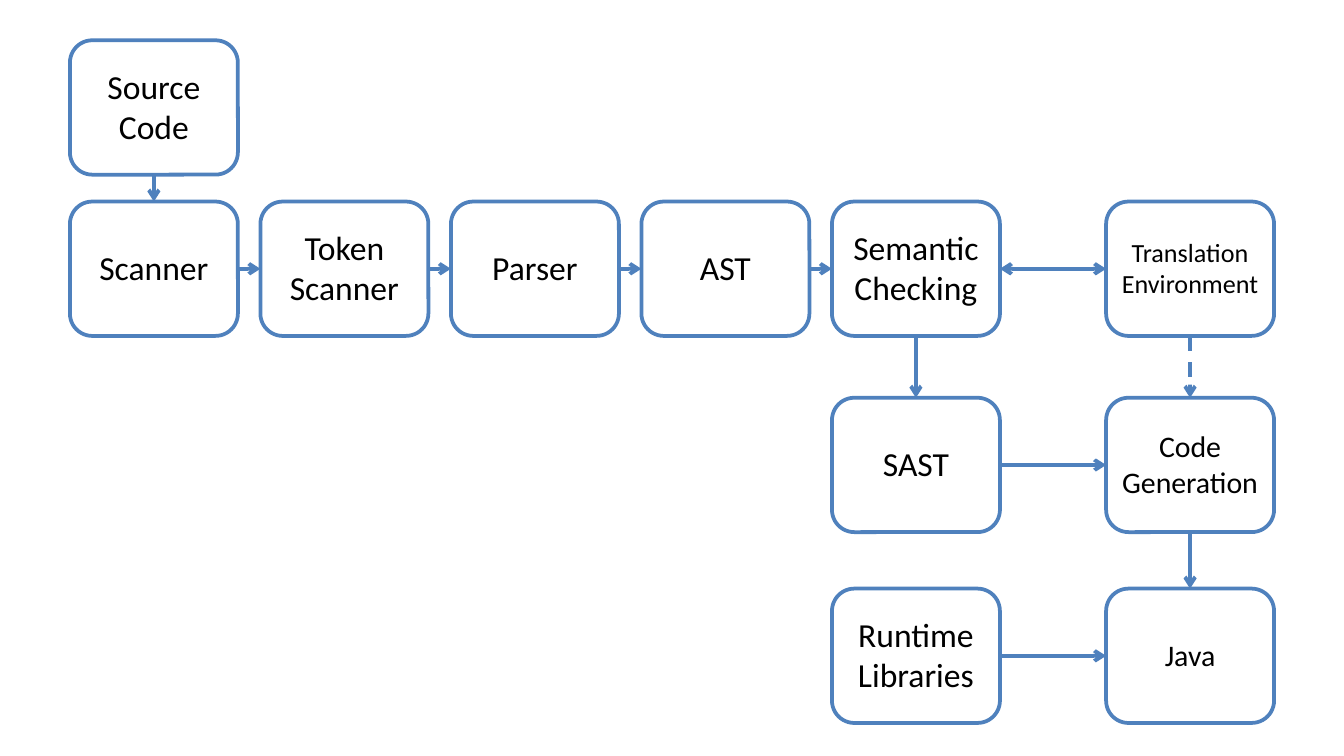
import pptx
import pptx.util
import pptx.dml.color
import pptx.enum.dml
import pptx.enum.shapes
import pptx.enum.text
from dataclasses import dataclass
from lxml import etree
from pptx.oxml.ns import qn

Inches, Pt = pptx.util.Inches, pptx.util.Pt
RGB = pptx.dml.color.RGBColor


@dataclass(frozen=True)
class Theme:
    font: str = "Calibri"
    ink: RGB = RGB(0, 0, 0)
    fill: RGB = RGB(0xFF, 0xFF, 0xFF)
    line: RGB = RGB(0x4F, 0x81, 0xBD)
    weight: float = 2
    large: int = 18
    medium: int = 16
    small: int = 14


T = Theme()

# Grid: five evenly stepped columns, then one set apart
BOX_W, BOX_H = 1.25, 1
COLS = [0.52 + (6.19 - 0.52) / 4 * i for i in range(5)] + [8.23]
ROWS = [0.3, 1.5, 2.96, 4.38]

# Connection sites of a rounded rectangle
TOP, LEFT, BOTTOM, RIGHT = range(4)

# Stage: column, row, text size, paragraphs
STAGES = {
    "source": (0, 0, T.large, ["Source Code"]),
    "scanner": (0, 1, T.large, ["Scanner"]),
    "token": (1, 1, T.large, ["Token Scanner"]),
    "parser": (2, 1, T.large, ["Parser"]),
    "ast": (3, 1, T.large, ["AST"]),
    "semantic": (4, 1, T.large, ["Semantic Checking"]),
    "environment": (5, 1, T.small, ["Translation", "Environment"]),
    "sast": (4, 2, T.large, ["SAST"]),
    "generation": (5, 2, T.medium, ["Code Generation"]),
    "java": (5, 3, T.medium, ["Java"]),
    "runtime": (4, 3, T.large, ["Runtime Libraries"]),
}

ACROSS = [("scanner", "token"), ("token", "parser"), ("parser", "ast"),
          ("ast", "semantic"), ("sast", "generation"), ("runtime", "java")]
DOWN = [("source", "scanner"), ("semantic", "sast"), ("generation", "java")]


def add_stage(s, col, row, size, paragraphs):
    """Add a rounded box with centred text at a grid place."""
    sp = s.shapes.add_shape(
        pptx.enum.shapes.MSO_SHAPE.ROUNDED_RECTANGLE,
        Inches(COLS[col]), Inches(ROWS[row]), Inches(BOX_W), Inches(BOX_H))
    sp.shadow.inherit = False
    sp.fill.solid()
    sp.fill.fore_color.rgb = T.fill
    sp.line.color.rgb = T.line
    sp.line.width = Pt(T.weight)
    tf = sp.text_frame
    tf.word_wrap = True
    tf.margin_left = tf.margin_right = Inches(0.03)
    tf.margin_bottom = Inches(0.07)
    tf.vertical_anchor = pptx.enum.text.MSO_ANCHOR.MIDDLE
    tf.text = "\n".join(paragraphs)
    for p in tf.paragraphs:
        p.alignment = pptx.enum.text.PP_ALIGN.CENTER
        p.font.name = T.font
        p.font.size = Pt(size)
        p.font.color.rgb = T.ink
    return sp


def add_arrow(s, start, start_site, end, end_site, dashed=False, both=False):
    """Join two stages with an arrow glued to their sides."""
    cx = s.shapes.add_connector(
        pptx.enum.shapes.MSO_CONNECTOR.STRAIGHT, 0, 0, 0, 0)
    cx.begin_connect(start, start_site)
    cx.end_connect(end, end_site)
    cx.line.color.rgb = T.line
    cx.line.width = Pt(T.weight)
    if dashed:
        cx.line.dash_style = pptx.enum.dml.MSO_LINE.DASH
    ln = cx.line._get_or_add_ln()
    for tag in ["a:headEnd"] * both + ["a:tailEnd"]:
        etree.SubElement(ln, qn(tag), type="arrow")
    etree.SubElement(cx._element.spPr, qn("a:effectLst"))


def main():
    prs = pptx.Presentation()
    # Widescreen, 16 to 9
    prs.slide_width = Inches(10)
    prs.slide_height = prs.slide_width * 9 // 16
    s = prs.slides.add_slide(prs.slide_layouts[6])

    # Stages of the compiler
    box = {name: add_stage(s, *stage) for name, stage in STAGES.items()}

    # Flow between the stages
    for a, b in ACROSS:
        add_arrow(s, box[a], RIGHT, box[b], LEFT)
    for a, b in DOWN:
        add_arrow(s, box[a], BOTTOM, box[b], TOP)

    # Links of the translation environment
    add_arrow(s, box["environment"], BOTTOM, box["generation"], TOP, dashed=True)
    add_arrow(s, box["semantic"], RIGHT, box["environment"], LEFT, both=True)

    prs.save("out.pptx")


main()
